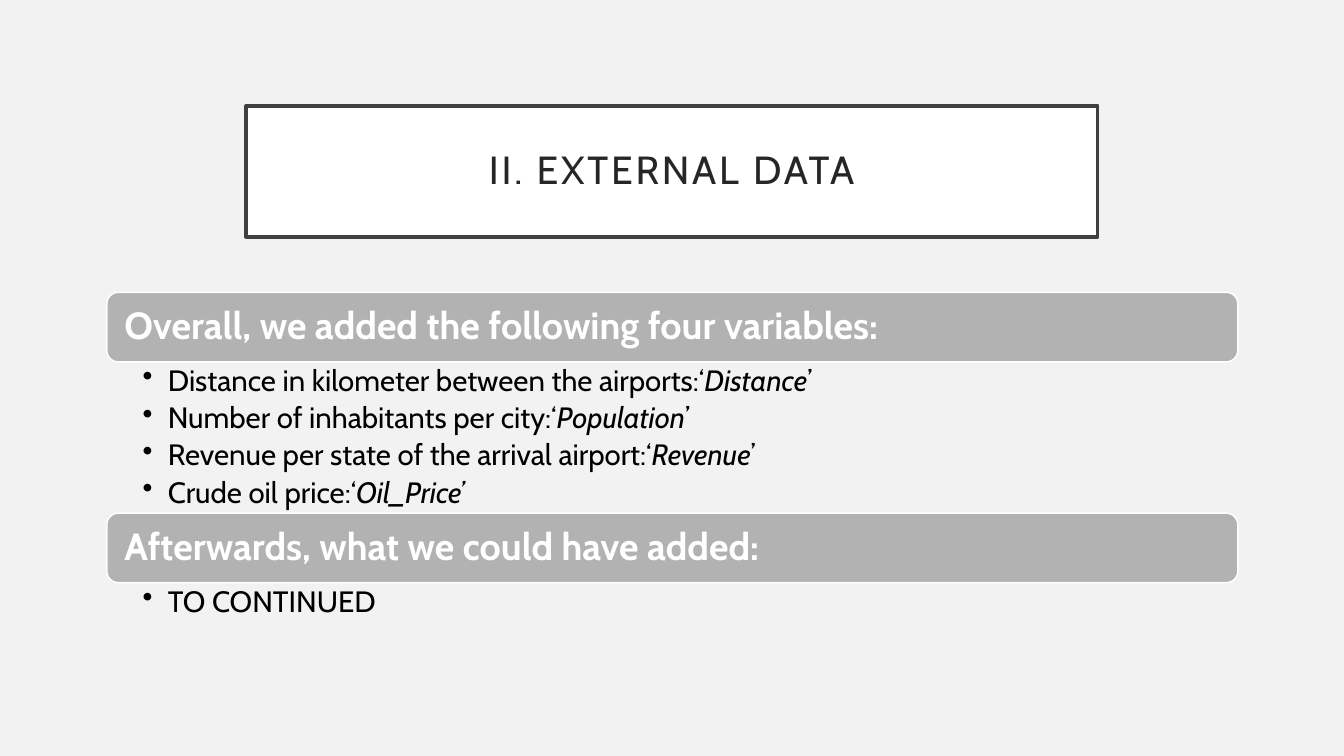
from dataclasses import dataclass

from lxml.etree import SubElement
from pptx import Presentation
from pptx.dml.color import RGBColor
from pptx.enum.shapes import MSO_SHAPE
from pptx.enum.text import MSO_ANCHOR, PP_ALIGN
from pptx.oxml.ns import qn
from pptx.util import Pt


@dataclass(frozen=True)
class Theme:
    """Colours, font and type sizes of the slide."""
    font: str = "Cabin"
    background: str = "F2F2F2"
    white: str = "FFFFFF"
    frame: str = "404040"
    title_text: str = "262626"
    bar: str = "B2B2B2"
    body: str = "000000"
    title_size: float = 28
    heading_size: float = 27
    bullet_size: float = 21


THEME = Theme()
LEFT, WIDTH = 76.32, 807.84
SECTIONS_TOP, BAR_HEIGHT = 208.8, 49.68

# Each section: heading, height of its list, bullets as (plain, italic, plain).
SECTIONS = [
    ("Overall, we added the following four variables:", 108, [
        ("Distance in kilometer between the airports:‘", "Distance", "’"),
        ("Number of inhabitants per city:‘", "Population", "’"),
        ("Revenue per state of the arrival airport:‘", "Revenue", "’"),
        ("Crude oil price:‘", "Oil_Price’", ""),
    ]),
    ("Afterwards, what we could have added:", 35.3, [
        ("TO CONTINUED", "", ""),
    ]),
]


def set_insets(frame, left, top, right, bottom):
    """Wrap a text frame and set its margins in points."""
    frame.word_wrap = True
    frame.margin_left, frame.margin_top = Pt(left), Pt(top)
    frame.margin_right, frame.margin_bottom = Pt(right), Pt(bottom)


def style_paragraph(para, size, color, bold=False, align=PP_ALIGN.LEFT):
    """Set the font, alignment and line spacing of a paragraph."""
    para.font.name = THEME.font
    para.font.size = Pt(size)
    para.font.bold = bold
    para.font.color.rgb = RGBColor.from_string(color)
    para.alignment = align
    para.line_spacing = 0.9


def add_panel(page, kind, bounds, fill, line, line_width):
    """Add a filled, outlined shape with vertically centred text."""
    panel = page.shapes.add_shape(kind, *map(Pt, bounds))
    panel.shadow.inherit = False
    panel.fill.solid()
    panel.fill.fore_color.rgb = RGBColor.from_string(fill)
    panel.line.color.rgb = RGBColor.from_string(line)
    panel.line.width = Pt(line_width)
    panel.text_frame.vertical_anchor = MSO_ANCHOR.MIDDLE
    return panel


def add_title(page, text):
    """Add the framed title with spaced letters."""
    panel = add_panel(page, MSO_SHAPE.RECTANGLE, (175.68, 75.6, 608.4, 93.6),
                      THEME.white, THEME.frame, 2.5)
    set_insets(panel.text_frame, 14.4, 14.4, 14.4, 14.4)
    para = panel.text_frame.paragraphs[0]
    span = para.add_run()
    span.text = text
    span.font._element.set("spc", "200")
    style_paragraph(para, THEME.title_size, THEME.title_text,
                    align=PP_ALIGN.CENTER)


def add_heading_bar(page, top, text):
    """Add a rounded bar holding a section heading."""
    bar = add_panel(page, MSO_SHAPE.ROUNDED_RECTANGLE,
                    (LEFT, top, WIDTH, BAR_HEIGHT), THEME.bar, THEME.white, 1)
    set_insets(bar.text_frame, 10.2, 8, 10.2, 8)
    para = bar.text_frame.paragraphs[0]
    para.text = text
    style_paragraph(para, THEME.heading_size, THEME.white, bold=True)


def add_bullet_character(para):
    """Give a paragraph a hanging round bullet."""
    properties = para._p.get_or_add_pPr()
    properties.set("marL", str(Pt(18)))
    properties.set("indent", str(Pt(-18)))
    SubElement(properties, qn("a:buChar"), char="•")


def add_bullets(page, top, height, bullets):
    """Add a bulleted list whose middle spans are italic."""
    box = page.shapes.add_textbox(Pt(LEFT), Pt(top), Pt(WIDTH), Pt(height))
    frame = box.text_frame
    set_insets(frame, 25.6, 2.9, 15, 2.9)
    for index, parts in enumerate(bullets):
        para = frame.add_paragraph() if index else frame.paragraphs[0]
        style_paragraph(para, THEME.bullet_size, THEME.body)
        para.space_after = Pt(4)
        add_bullet_character(para)
        for text, italic in zip(parts, (False, True, False)):
            if text:
                span = para.add_run()
                span.text = text
                span.font.italic = italic


def main():
    """Build the slide and save the deck."""
    deck = Presentation()
    deck.slide_width, deck.slide_height = Pt(960), Pt(540)
    page = deck.slides.add_slide(deck.slide_layouts[6])
    page.background.fill.solid()
    page.background.fill.fore_color.rgb = RGBColor.from_string(THEME.background)

    add_title(page, "II. EXTERNAL DATA")
    top = SECTIONS_TOP
    for heading, list_height, bullets in SECTIONS:
        add_heading_bar(page, top, heading)
        add_bullets(page, top + BAR_HEIGHT, list_height, bullets)
        top += BAR_HEIGHT + list_height

    deck.save("out.pptx")


main()
